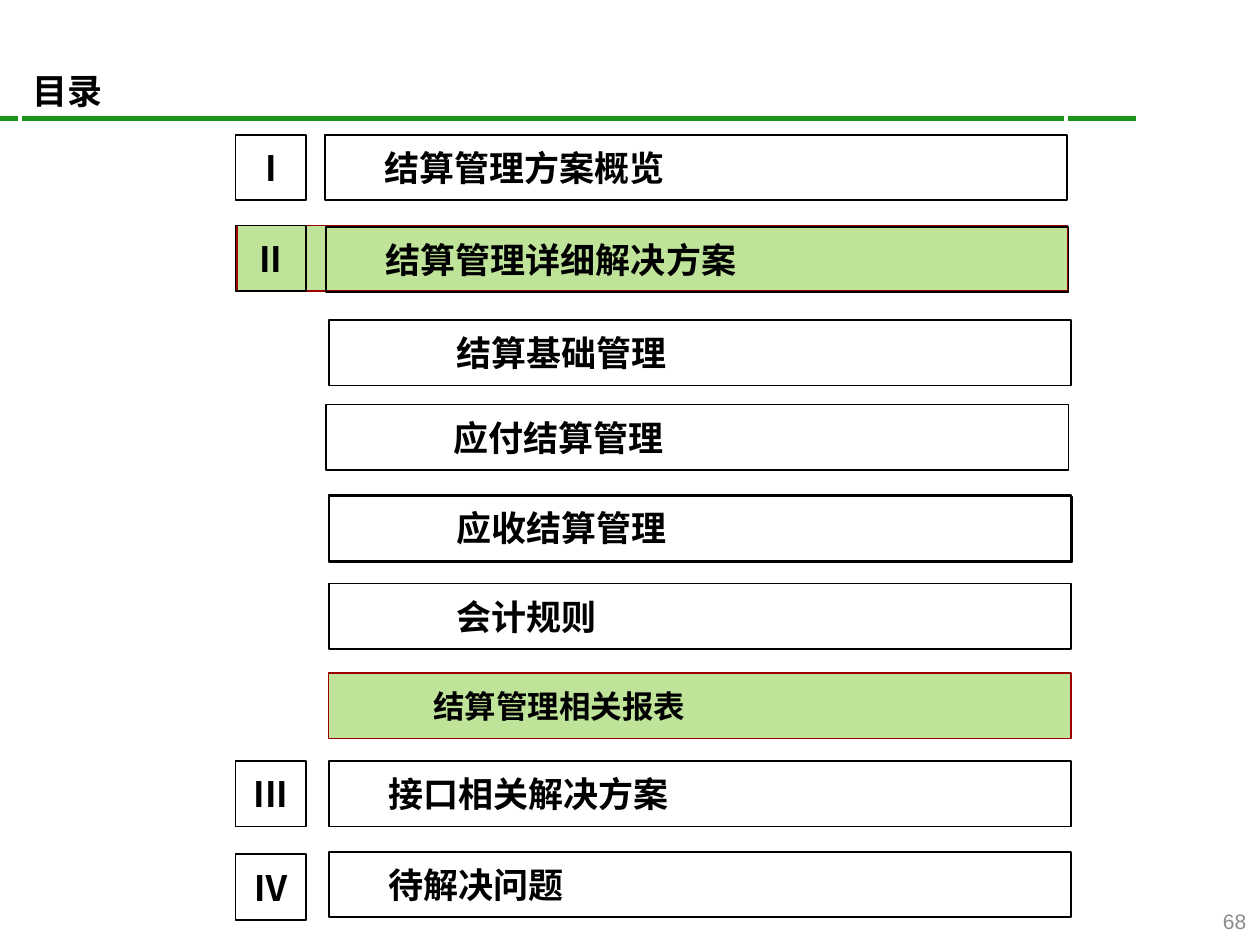
"""Build the contents slide of the settlement management deck."""
import pptx
import pptx.dml.color
import pptx.enum.shapes
import pptx.enum.text
import pptx.oxml.ns
import pptx.util
from lxml import etree
from pptx.util import Inches

theme = {
    "black": "000000", "white": "FFFFFF", "gray": "8C8C8C",
    "rule": "199519", "lime": "92D050", "red": "990000",
    "head": 20, "sub": 18, "small": 12,
    "cjk": "Noto Sans CJK SC", "latin": "Arial",
}
qn = pptx.oxml.ns.qn
align = pptx.enum.text.PP_ALIGN


def color(name):
    return pptx.dml.color.RGBColor.from_string(theme[name])


def write(shape, text, size="head", font="cjk", ink="black", bold=True,
          side=align.LEFT, pad=(0.1, 0.05), indent=0, wrap=True):
    frame = shape.text_frame
    frame.word_wrap = wrap
    frame.auto_size = pptx.enum.text.MSO_AUTO_SIZE.NONE
    frame.vertical_anchor = pptx.enum.text.MSO_ANCHOR.MIDDLE
    frame.margin_left = frame.margin_right = Inches(pad[0])
    frame.margin_top = frame.margin_bottom = Inches(pad[1])
    para = frame.paragraphs[0]
    para.alignment = side
    if indent:
        para._p.get_or_add_pPr().set("marL", str(Inches(indent)))
    run = para.add_run()
    run.text = text
    run.font.size = pptx.util.Pt(theme[size])
    run.font.bold = bold
    run.font.name = theme[font]
    run.font.color.rgb = color(ink)
    east = etree.SubElement(run._r.get_or_add_rPr(), qn("a:ea"))
    east.set("typeface", theme["cjk"])


def box(left, top, wide, lit=False, edge="black", weight=1):
    shape = shapes.add_shape(pptx.enum.shapes.MSO_SHAPE.RECTANGLE, Inches(left),
                             Inches(top), Inches(wide), Inches(0.52))
    shape.shadow.inherit = False
    shape.line.color.rgb = color(edge)
    shape.line.width = pptx.util.Pt(weight)
    if lit:
        shape.fill.solid()
        shape.fill.fore_color.rgb = color("lime")
        tint = shape._element.spPr.find(qn("a:solidFill"))[0]
        etree.SubElement(tint, qn("a:alpha")).set("val", "58000")
    else:
        shape.fill.background()
    return shape


deck = pptx.Presentation()
deck.slide_width, deck.slide_height = Inches(10), Inches(7.5)
slide = deck.slides.add_slide(deck.slide_layouts[5])
shapes = slide.shapes

rule = shapes.add_connector(pptx.enum.shapes.MSO_CONNECTOR.STRAIGHT,
                            Inches(0), Inches(0.94), Inches(9.02), Inches(0.94))
rule.line.color.rgb = color("rule")
rule.line.width = pptx.util.Pt(3)
etree.SubElement(rule._element.spPr, qn("a:effectLst"))
band = box(1.88, 1.79, 6.59, lit=True, edge="red", weight=0.75)

title = shapes.title
title.left, title.top = Inches(0.16), Inches(0.4)
title.width, title.height = Inches(8.3), Inches(0.63)
title.line.color.rgb = color("white")
title.line.width = pptx.util.Pt(2)
write(title, "目录")
band._element.addnext(title._element)

page = shapes.add_textbox(Inches(9.43), Inches(7.14), Inches(0.56), Inches(0.34))
write(page, "68", size="small", font="latin", ink="gray", bold=False,
      side=align.RIGHT)

marks = [("I", 1.07), ("II", 1.79), ("III", 6.04), ("Ⅳ", 6.78)]
for text, top in marks:
    write(box(1.87, top, 0.56), text, side=align.CENTER, pad=(0, 0.05), wrap=False)

main, nest = 0.39, 0.93
rows = [
    ("结算管理方案概览", 2.58, 1.07, main),
    ("结算管理详细解决方案", 2.59, 1.8, main),
    ("结算基础管理", 2.61, 2.54, nest),
    ("应付结算管理", 2.59, 3.21, nest),
    ("应收结算管理", 2.61, 3.93, nest),
    ("会计规则", 2.61, 4.63, nest),
    ("接口相关解决方案", 2.61, 6.04, main),
    ("待解决问题", 2.61, 6.76, main),
]
for text, left, top, indent in rows:
    write(box(left, top, 5.89), text, pad=(0.08, 0.08), indent=indent, wrap=False)

box(2.61, 3.94, 5.9)
report = box(2.61, 5.34, 5.89, lit=True, edge="red", weight=0.75)
write(report, "结算管理相关报表", size="sub", font="latin", indent=0.73)

deck.save("out.pptx")
